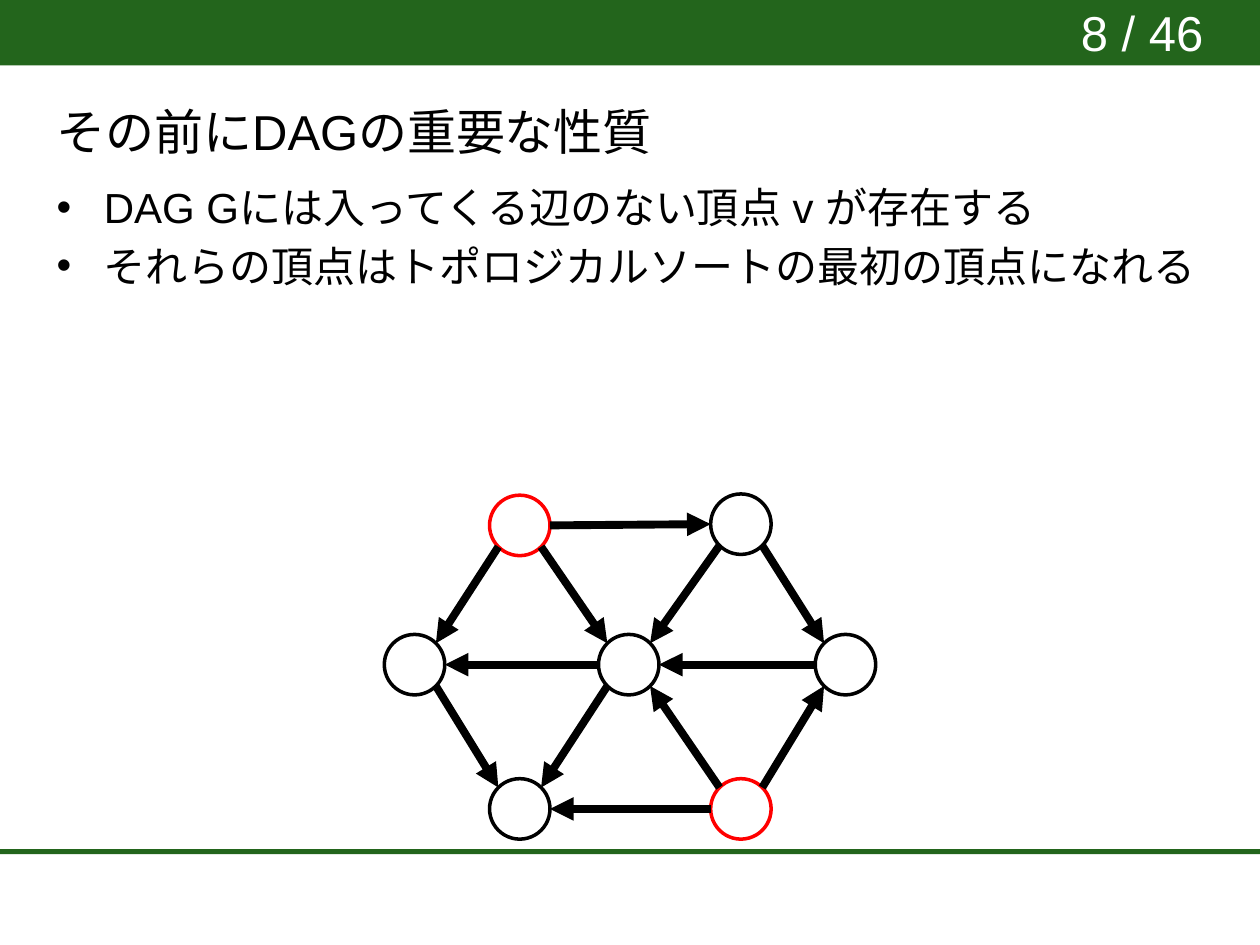
import math

import pptx
import pptx.dml.color
import pptx.enum.lang
import pptx.enum.shapes
import pptx.enum.text
import pptx.oxml
import pptx.oxml.ns
import pptx.util

GREEN = pptx.dml.color.RGBColor(0x23, 0x65, 0x1C)
BLACK = pptx.dml.color.RGBColor(0x00, 0x00, 0x00)
WHITE = pptx.dml.color.RGBColor(0xFF, 0xFF, 0xFF)
RED = pptx.dml.color.RGBColor(0xFF, 0x00, 0x00)

COLUMNS, ROWS = 100, 75
RADIUS = 2.4
DIAGONAL = RADIUS * math.sqrt(0.5)


def element(tag, **attributes):
    node = pptx.oxml.parse_xml(f'<{tag} {pptx.oxml.ns.nsdecls("a")}/>')
    for key, value in attributes.items():
        node.set(key, value)
    return node


class GraphSlide:
    font_name = "Arial"

    def __init__(self, deck):
        self.slide = deck.slides.add_slide(deck.slide_layouts[6])
        self.column = deck.slide_width / COLUMNS
        self.row = deck.slide_height / ROWS
        self.graph = None

    def place(self, *lengths):
        units = (self.column, self.row) * 2
        return [round(length * unit) for length, unit in zip(lengths, units)]

    def bar(self, top, height):
        bar = self.slide.shapes.add_shape(
            pptx.enum.shapes.MSO_SHAPE.RECTANGLE, *self.place(0, top, COLUMNS, height))
        bar.shadow.inherit = False
        bar.fill.solid()
        bar.fill.fore_color.rgb = GREEN
        bar.line.fill.background()

    def text(self, box, lines, size, color=BLACK, middle=False, bullets=False):
        frame = self.slide.shapes.add_textbox(*self.place(*box)).text_frame
        frame.word_wrap = True
        if middle:
            frame.vertical_anchor = pptx.enum.text.MSO_ANCHOR.MIDDLE
        frame.text = "\n".join(lines)
        for index, paragraph in enumerate(frame.paragraphs):
            if bullets:
                self.bullet(paragraph)
            if index:
                paragraph.space_before = pptx.util.Pt(0.2 * size)
            for run in paragraph.runs:
                run.font.size = pptx.util.Pt(size)
                run.font.color.rgb = color
                run.font.name = self.font_name
                run.font.language_id = pptx.enum.lang.MSO_LANGUAGE_ID.JAPANESE
                run.font._element.append(element("a:ea", typeface=self.font_name))

    def bullet(self, paragraph):
        indent = self.place(3.75)[0]
        properties = paragraph._p.get_or_add_pPr()
        properties.set("marL", str(indent))
        properties.set("indent", str(-indent))
        properties.append(element("a:buFont", typeface=self.font_name))
        properties.append(element("a:buChar", char="•"))

    def start_graph(self):
        self.graph = self.slide.shapes.add_group_shape().shapes

    def vertex(self, center, color):
        x, y = center
        vertex = self.graph.add_shape(
            pptx.enum.shapes.MSO_SHAPE.OVAL,
            *self.place(x - RADIUS, y - RADIUS, 2 * RADIUS, 2 * RADIUS))
        vertex.shadow.inherit = False
        vertex.fill.background()
        vertex.line.color.rgb = color
        vertex.line.width = pptx.util.Pt(2)

    def edge(self, source, target):
        (x1, y1), (x2, y2) = source, target
        level = abs(y2 - y1) < RADIUS
        dx = math.copysign(RADIUS if level else DIAGONAL, x2 - x1)
        dy = 0 if level else math.copysign(DIAGONAL, y2 - y1)
        edge = self.graph.add_connector(
            pptx.enum.shapes.MSO_CONNECTOR.STRAIGHT,
            *self.place(x1 + dx, y1 + dy, x2 - dx, y2 - dy))
        edge.line.color.rgb = BLACK
        edge.line.width = pptx.util.Pt(4.5)
        edge.line._get_or_add_ln().append(element("a:tailEnd", type="triangle"))
        edge._element.spPr.append(element("a:effectLst"))


def main():
    deck = pptx.Presentation()
    deck.slide_width = pptx.util.Inches(10)
    deck.slide_height = pptx.util.Inches(7.5)
    page = GraphSlide(deck)

    page.bar(0, 5.2)
    page.bar(67.4, 0.4)
    page.text((3.5, 7.6, 92.9, 5.6), ["その前にDAGの重要な性質"], 28, middle=True)
    page.text(
        (3.5, 13.9, 92.9, 52.8),
        ["DAG Gには入ってくる辺のない頂点 v が存在する",
         "それらの頂点はトポロジカルソートの最初の頂点になれる"],
        24, bullets=True)

    vertices = {
        "top left": (41.25, 41.7),
        "top right": (58.8, 41.6),
        "left": (32.9, 52.75),
        "center": (49.9, 52.75),
        "right": (67.1, 52.75),
        "bottom left": (41.25, 64.2),
        "bottom right": (58.8, 64.2),
    }
    edges = {
        "top left": ["top right", "left", "center"],
        "top right": ["center", "right"],
        "left": ["bottom left"],
        "center": ["left", "bottom left"],
        "right": ["center"],
        "bottom right": ["bottom left", "center", "right"],
    }
    reached = {target for targets in edges.values() for target in targets}

    page.start_graph()
    for name, center in vertices.items():
        page.vertex(center, BLACK if name in reached else RED)
    for source, targets in edges.items():
        for target in targets:
            page.edge(vertices[source], vertices[target])

    page.text((84.8, -0.3, 15.2, 5.3), ["8 / 46"], 28, color=WHITE)
    deck.save("out.pptx")


if __name__ == "__main__":
    main()
